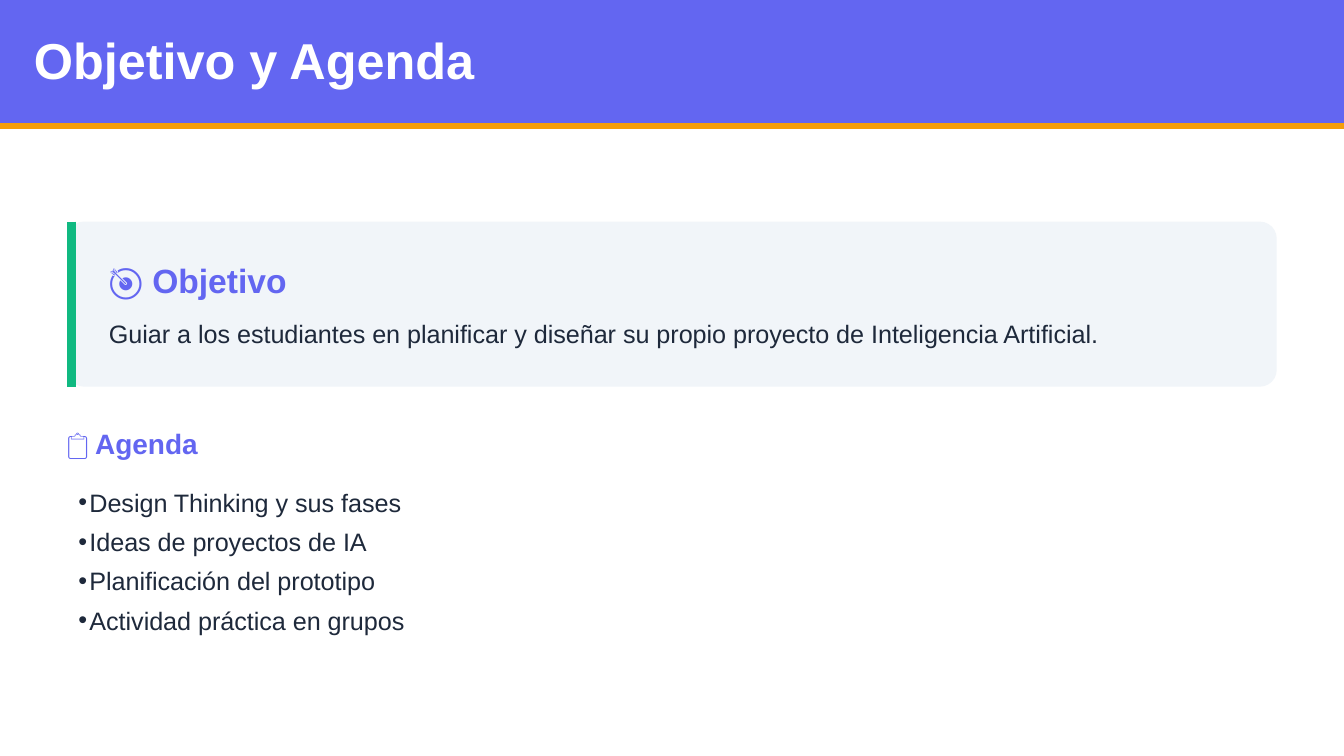
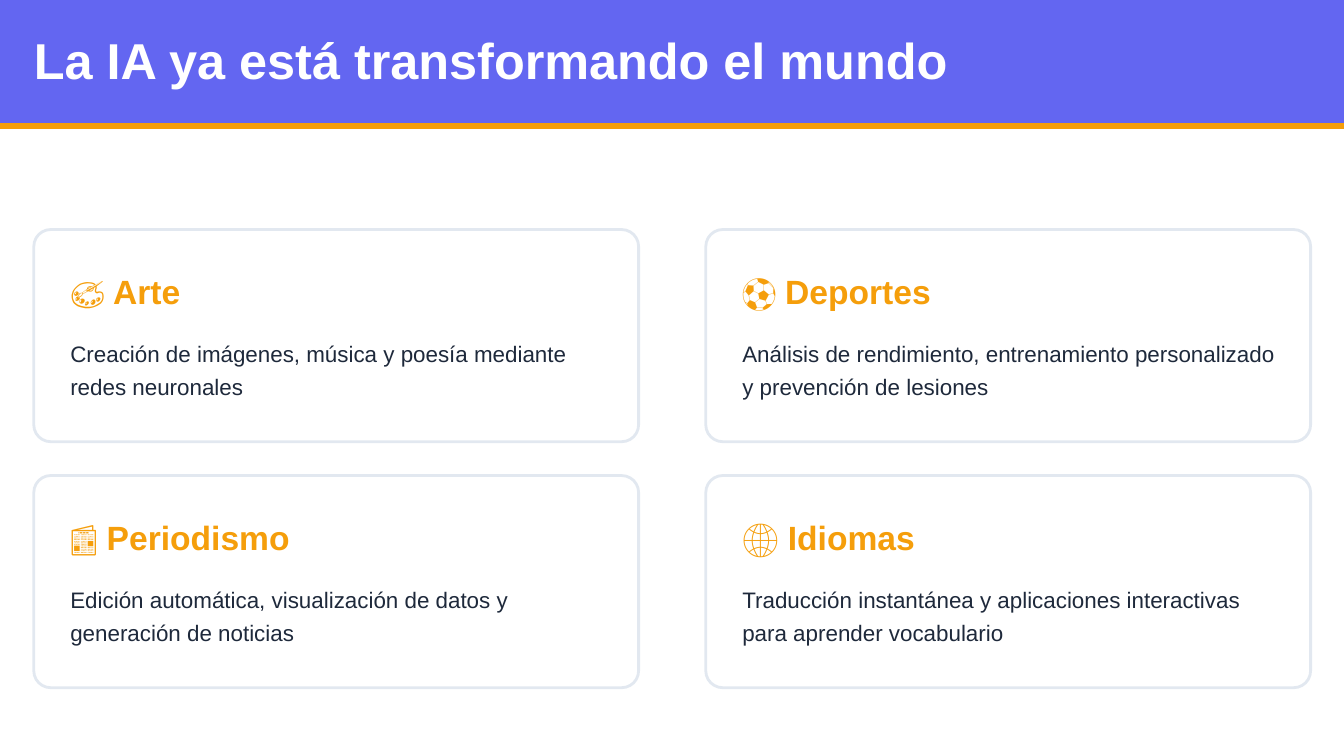
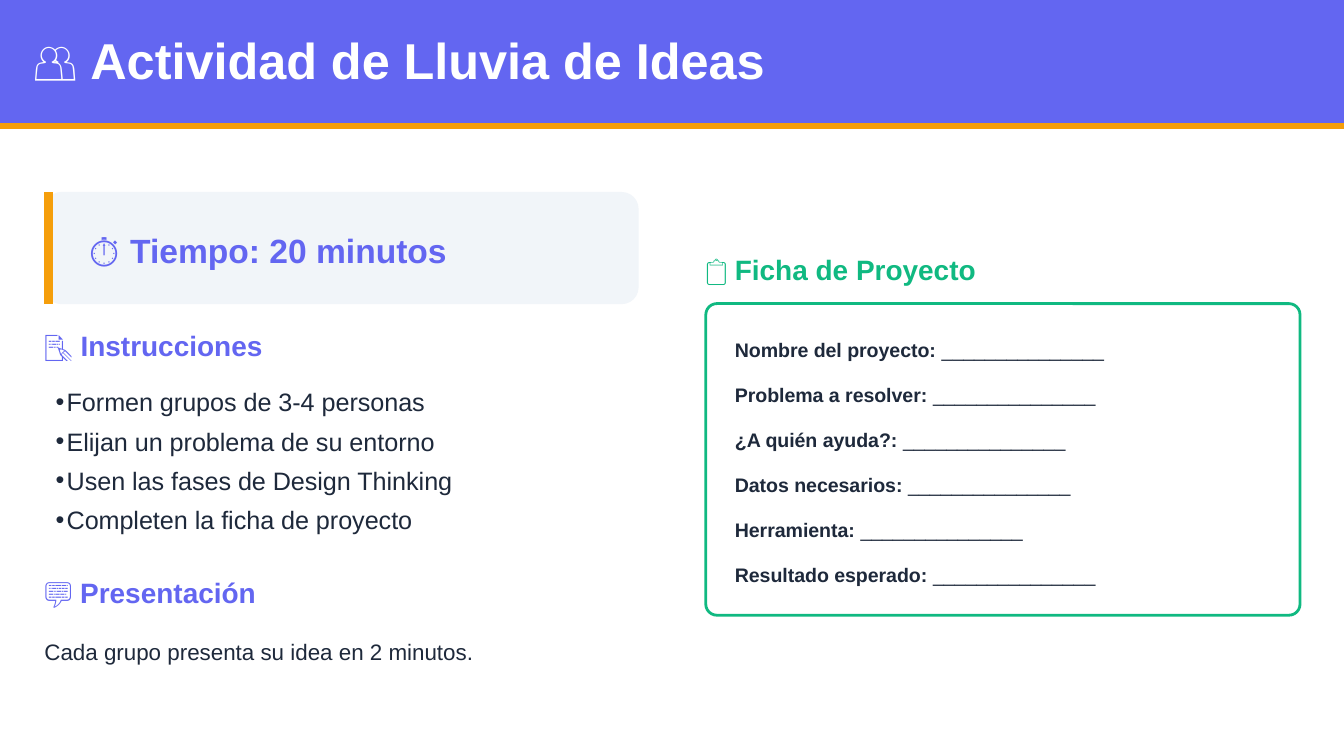
from lxml.etree import SubElement
from pptx import Presentation
from pptx.dml.color import RGBColor
from pptx.enum.shapes import MSO_CONNECTOR, MSO_SHAPE
from pptx.enum.text import MSO_ANCHOR, MSO_AUTO_SIZE, PP_ALIGN
from pptx.oxml.ns import qn
from pptx.util import Cm, Pt

FONT = "Arial"
INDIGO = "6366F1"
ORANGE = "F59E0B"
GREEN = "10B981"
INK = "1E293B"
PALE = "F1F5F9"
BORDER = "E2E8F0"
WHITE = "FFFFFF"

PAGE_WIDTH = 25.4
PAGE_HEIGHT = 14.29
TITLE_AND_BODY, TITLE_ONLY = 1, 5
BULLET_INDENT = 0.21

# Text styles: size and line height in points
TITLE = dict(size=27, leading=30, color=WHITE, bold=True)
HEADING = dict(size=18, leading=24, color=INDIGO, bold=True)
SUBHEADING = dict(size=15, leading=21, color=INDIGO, bold=True)
LEAD = dict(size=13.5, leading=21)
BODY = dict(size=12, leading=18)
FIELD = dict(size=10.5, leading=15, bold=True)


def rgb(color):
    return RGBColor.from_string(color)


def place(shape, left, top, width, height):
    shape.left, shape.top = Cm(left), Cm(top)
    shape.width, shape.height = Cm(width), Cm(height)


def add_span(para, text, size, color, bold):
    span = para.add_run()
    span.text = text
    span.font.name = FONT
    span.font.size = Pt(size)
    span.font.bold = bold
    span.font.color.rgb = rgb(color)


def add_bullet(para):
    properties = para._p.get_or_add_pPr()
    properties.set("marL", str(Cm(BULLET_INDENT)))
    properties.set("indent", str(-Cm(BULLET_INDENT)))
    SubElement(properties, qn("a:buChar"), char="•")


def write(box, text, *, size, leading, color=INK, bold=False, bullet=False, tail=""):
    """Fill a box, one paragraph per line of text; tail follows in regular weight."""
    frame = box.text_frame
    frame.word_wrap = True
    frame.auto_size = MSO_AUTO_SIZE.NONE
    frame.vertical_anchor = MSO_ANCHOR.TOP
    frame.margin_left = Cm(BULLET_INDENT if bullet else 0)
    frame.margin_top = frame.margin_right = frame.margin_bottom = 0
    for index, line in enumerate(text.split("\n")):
        para = frame.add_paragraph() if index else frame.paragraphs[0]
        if bullet:
            add_bullet(para)
        para.alignment = PP_ALIGN.LEFT
        para.line_spacing = Pt(leading)
        para.space_before = Pt(0)
        add_span(para, line, size, color, bold)
        if tail:
            add_span(para, tail, size, color, False)


def add_text(page, at, text, **style):
    box = page.shapes.add_textbox(*map(Cm, at))
    write(box, text, **style)


def add_list(page, at, items):
    body = page.placeholders[1]
    place(body, *at)
    write(body, "\n".join(items), bullet=True, **LEAD)


def add_block(page, at, fill, border=None, radius=None):
    """Add a rectangle, rounded when a corner radius in cm is given."""
    kind = MSO_SHAPE.ROUNDED_RECTANGLE if radius else MSO_SHAPE.RECTANGLE
    block = page.shapes.add_shape(kind, *map(Cm, at))
    block.shadow.inherit = False
    if radius:
        block.adjustments[0] = radius / min(at[2:])
    block.fill.solid()
    block.fill.fore_color.rgb = rgb(fill)
    if border:
        block.line.color.rgb = rgb(border)
        block.line.width = Pt(1.5)
    else:
        block.line.fill.background()
    return block


def add_rule(page, start, end, color, weight):
    rule = page.shapes.add_connector(
        MSO_CONNECTOR.STRAIGHT, *map(Cm, (*start, *end)))
    rule.line.color.rgb = rgb(color)
    rule.line.width = Pt(weight)
    SubElement(rule.element.spPr, qn("a:effectLst"))
    return rule


def add_page(deck, layout, title, title_width):
    """Add a slide with the shared band, orange rule and title."""
    page = deck.slides.add_slide(deck.slide_layouts[layout])
    heading = page.shapes.title
    band = add_block(page, (0, 0, PAGE_WIDTH, 2.44), INDIGO)
    rule = add_rule(page, (0, 2.38), (PAGE_WIDTH, 2.38), ORANGE, 3)
    for backdrop in (band, rule):
        heading.element.addprevious(backdrop.element)
    place(heading, 0.64, 0.64, title_width, 1.06)
    write(heading, title, **TITLE)
    return page


def add_callout(page, at, accent):
    """Add a pale panel with a coloured bar along its left side."""
    left, top, _, height = at
    add_block(page, at, PALE, radius=0.32 if height > 3 else 0.32)
    bar = left + 0.08
    add_rule(page, (bar, top), (bar, top + height), accent, 4.5)


def add_card(page, left, top, heading, text):
    add_block(page, (left, top, 11.43, 4.01), WHITE, border=BORDER, radius=0.32)
    inner = left + 0.69
    add_text(page, (inner, top + 0.69, 10.26, 0.84), heading,
             **{**HEADING, "color": ORANGE})
    add_text(page, (inner, top + 1.96, 10.26, 1.27), text, **BODY)


def build_agenda(deck):
    page = add_page(deck, TITLE_AND_BODY, "Objetivo y Agenda", 12.34)
    add_callout(page, (1.27, 4.19, 22.86, 3.12), GREEN)
    add_text(page, (2.06, 4.83, 10.95, 0.84), "🎯 Objetivo", **HEADING)
    add_text(page, (2.06, 5.84, 21.87, 0.74),
             "Guiar a los estudiantes en planificar y diseñar su propio "
             "proyecto de Inteligencia Artificial.", **LEAD)
    add_text(page, (1.27, 7.95, 23.32, 0.74), "📋 Agenda", **SUBHEADING)
    add_list(page, (1.27, 9.04, 22.86, 3.28), [
        "Design Thinking y sus fases",
        "Ideas de proyectos de IA",
        "Planificación del prototipo",
        "Actividad práctica en grupos",
    ])


def build_examples(deck):
    page = add_page(deck, TITLE_ONLY, "La IA ya está transformando el mundo", 17.63)
    cards = [
        ("🎨 Arte",
         "Creación de imágenes, música y poesía mediante redes neuronales"),
        ("⚽ Deportes",
         "Análisis de rendimiento, entrenamiento personalizado y prevención de lesiones"),
        ("📰 Periodismo",
         "Edición automática, visualización de datos y generación de noticias"),
        ("🌐 Idiomas",
         "Traducción instantánea y aplicaciones interactivas para aprender vocabulario"),
    ]
    for index, (heading, text) in enumerate(cards):
        row, column = divmod(index, 2)
        add_card(page, 0.64 + 12.7 * column, 4.34 + 4.65 * row, heading, text)


def build_activity(deck):
    page = add_page(deck, TITLE_AND_BODY, "👥 Actividad de Lluvia de Ideas", 14.48)
    left = 0.84
    add_callout(page, (left, 3.63, 11.23, 2.12), ORANGE)
    add_text(page, (1.65, 4.27, 7.09, 0.84), "⏱️ Tiempo: 20 minutos", **HEADING)
    add_text(page, (left, 6.1, 11.43, 0.74), "📝 Instrucciones", **SUBHEADING)
    add_list(page, (left, 7.14, 11.23, 3.28), [
        "Formen grupos de 3-4 personas",
        "Elijan un problema de su entorno",
        "Usen las fases de Design Thinking",
        "Completen la ficha de proyecto",
    ])
    add_text(page, (left, 10.77, 11.43, 0.74), "💬 Presentación", **SUBHEADING)
    add_text(page, (left, 11.94, 11.43, 0.64),
             "Cada grupo presenta su idea en 2 minutos.", **BODY)

    add_text(page, (13.34, 4.67, 11.43, 0.74), "📋 Ficha de Proyecto",
             **{**SUBHEADING, "color": GREEN})
    add_block(page, (13.34, 5.74, 11.23, 5.89), WHITE, border=GREEN, radius=0.21)
    fields = ["Nombre del proyecto:", "Problema a resolver:", "¿A quién ayuda?:",
              "Datos necesarios:", "Herramienta:", "Resultado esperado:"]
    for index, field in enumerate(fields):
        add_text(page, (13.89, 6.3 + 0.85 * index, 10.29, 0.53), field,
                 tail=" " + "_" * 15, **FIELD)


def main():
    deck = Presentation()
    deck.slide_width, deck.slide_height = Cm(PAGE_WIDTH), Cm(PAGE_HEIGHT)
    build_agenda(deck)
    build_examples(deck)
    build_activity(deck)
    deck.save("out.pptx")


if __name__ == "__main__":
    main()
